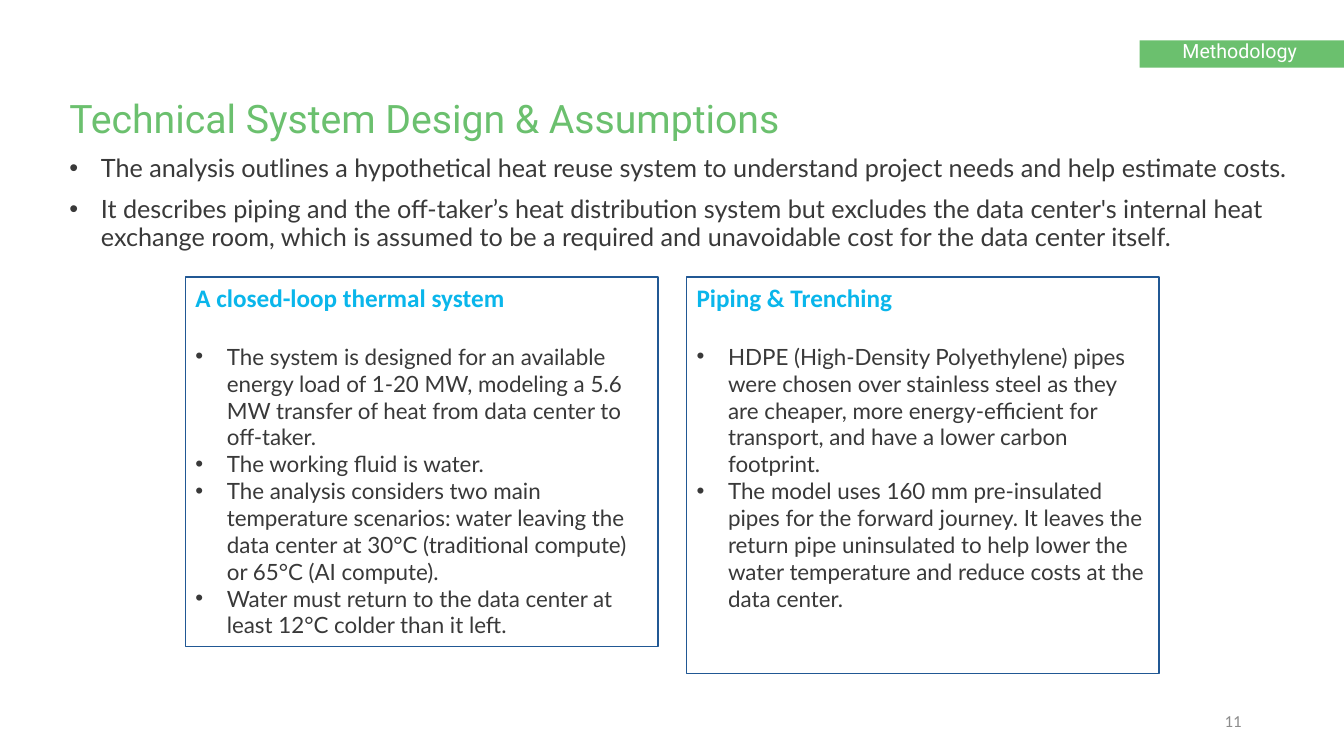
from pptx import Presentation
from pptx import util as u
from pptx.dml import color
from pptx.enum import shapes, text
from lxml import etree

Pt = u.Pt
A = "{http://schemas.openxmlformats.org/drawingml/2006/main}"
GREEN, INK = "6BC06E", "393939"


def rgb(code):
    return color.RGBColor.from_string(code)


def write(frame, words, size=16, font="Lato", ink=INK, bold=False,
          bullet=False, before=0, after=0, lead=1.0, side=text.PP_ALIGN.LEFT):
    par = frame.paragraphs[0]
    if par.runs:
        par = frame.add_paragraph()
    if bullet:
        props = par._p.get_or_add_pPr()
        props.set("marL", str(Pt(22.5)))
        props.set("indent", str(-Pt(22.5)))
        etree.SubElement(props, A + "buFont", typeface="Arial")
        etree.SubElement(props, A + "buChar", char="•")
    par.alignment = side
    par.line_spacing = lead
    par.space_before, par.space_after = Pt(before), Pt(after)
    run = par.add_run()
    run.text = words
    run.font.size, run.font.name, run.font.bold = Pt(size), font, bold
    run.font.color.rgb = rgb(ink)


deck = Presentation()
deck.slide_width, deck.slide_height = Pt(960), Pt(540)
slide = deck.slides.add_slide(deck.slide_layouts[6])
items = slide.shapes

tag = items.add_shape(shapes.MSO_SHAPE.RECTANGLE, Pt(814), Pt(28.8), Pt(146), Pt(19.5))
tag.shadow.inherit = False
tag.fill.solid()
tag.fill.fore_color.rgb = rgb(GREEN)
tag.line.fill.background()

label = items.add_textbox(Pt(837.5), Pt(26.2), Pt(98.5), Pt(17.5)).text_frame
label.word_wrap = True
write(label, "Methodology", size=14, font="Roboto", ink="FFFFFF", lead=0.9)

intro = items.add_textbox(Pt(42.5), Pt(67.5), Pt(894), Pt(82)).text_frame
intro.word_wrap = True
write(intro, "Technical System Design & Assumptions", size=28, font="Roboto", ink=GREEN, lead=0.9)
for line in [
    "The analysis outlines a hypothetical heat reuse system to understand project needs and help estimate costs.",
    "It describes piping and the off-taker’s heat distribution system but excludes the data center's internal heat "
    "exchange room, which is assumed to be a required and unavoidable cost for the data center itself.",
]:
    write(intro, line, size=18, bullet=True, before=10, lead=0.9)

cards = [
    ("A closed-loop thermal system", 264, [
        "The system is designed for an available energy load of 1-20 MW, modeling a 5.6 MW transfer of heat "
        "from data center to off-taker.",
        "The working fluid is water.",
        "The analysis considers two main temperature scenarios: water leaving the data center at 30°C "
        "(traditional compute) or 65°C (AI compute).",
        "Water must return to the data center at least 12°C colder than it left.",
    ]),
    ("Piping & Trenching", 283.5, [
        "HDPE (High-Density Polyethylene) pipes were chosen over stainless steel as they are cheaper, more "
        "energy-efficient for transport, and have a lower carbon footprint.",
        "The model uses 160 mm pre-insulated pipes for the forward journey. It leaves the return pipe uninsulated "
        "to help lower the water temperature and reduce costs at the data center.",
    ]),
]
for col, (head, tall, lines) in enumerate(cards):
    card = items.add_shape(shapes.MSO_SHAPE.RECTANGLE, Pt(132.5 + 358 * col), Pt(197.8), Pt(337.5), Pt(tall))
    card.shadow.inherit = False
    card.fill.background()
    card.line.color.rgb = rgb("215894")
    card.line.width = Pt(1)
    frame = card.text_frame
    frame.word_wrap = True
    frame.vertical_anchor = text.MSO_ANCHOR.TOP
    write(frame, head, size=18, font="Calibri", ink="0AB6EB", bold=True, after=22)
    for line in lines:
        write(frame, line, bullet=True)

page = items.add_textbox(Pt(678), Pt(500.5), Pt(216), Pt(28.8)).text_frame
page.word_wrap = True
page.vertical_anchor = text.MSO_ANCHOR.MIDDLE
write(page, "11", size=12, font="Calibri", ink="8C8C8C", side=text.PP_ALIGN.RIGHT)

deck.save("out.pptx")
